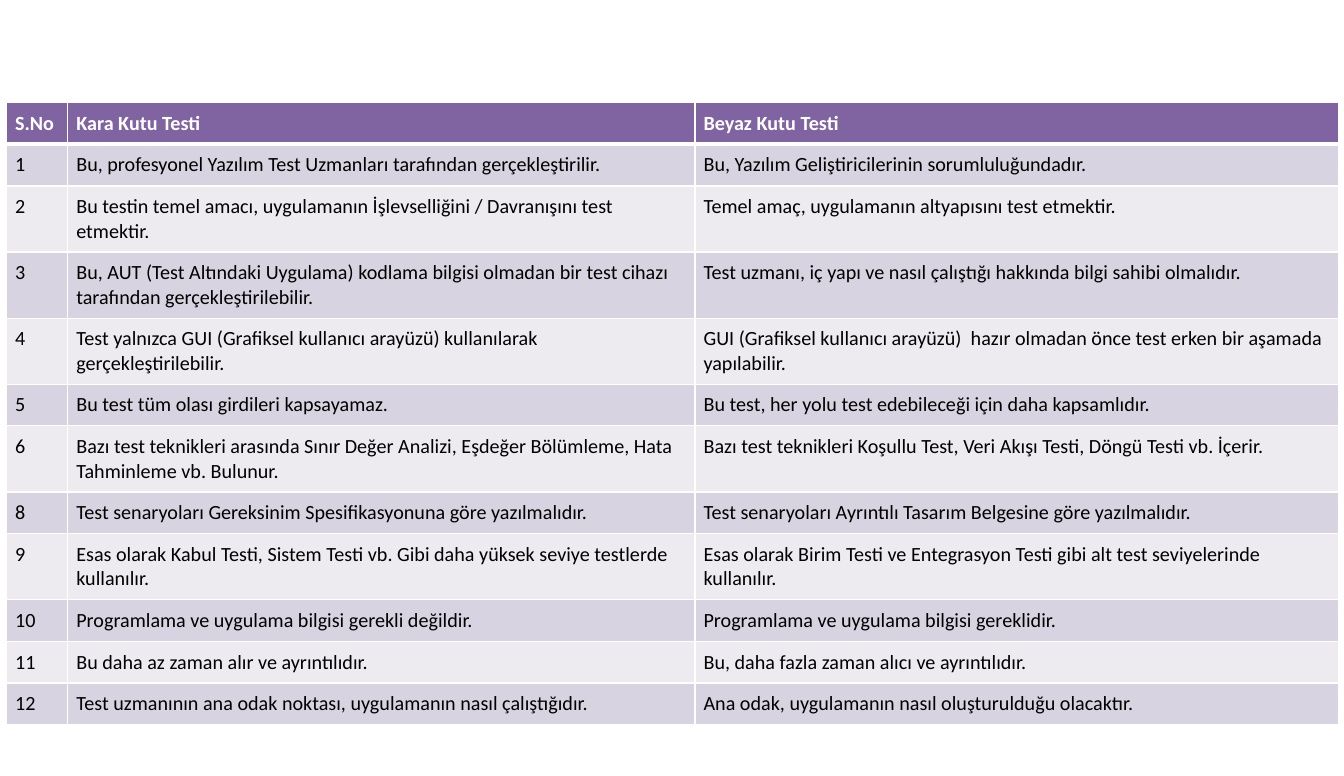
"""Build a slide that compares black box and white box testing."""
import lxml.etree
import pptx
import pptx.dml.color
import pptx.oxml.ns
import pptx.util

Cm = pptx.util.Cm
Pt = pptx.util.Pt
RGB = pptx.dml.color.RGBColor

WHITE = RGB(0xFF, 0xFF, 0xFF)
BLACK = RGB(0x00, 0x00, 0x00)
PURPLE = RGB(0x80, 0x64, 0xA2)
BANDS = [RGB(0xED, 0xEA, 0xF0), RGB(0xD8, 0xD3, 0xE0)]

FONT = "Calibri"
INSET = Cm(0.21)
THIN, THICK = Pt(1), Pt(3)
SHORT, TALL = Cm(1.02), Cm(1.62)
TWO_LINE = {"2", "3", "4", "6", "9"}
SHARES = [0.046, 0.471, 0.483]

ROWS = [
    ("S.No", "Kara Kutu Testi", "Beyaz Kutu Testi"),
    ("1", "Bu, profesyonel Yazılım Test Uzmanları tarafından gerçekleştirilir.",
     "Bu, Yazılım Geliştiricilerinin sorumluluğundadır."),
    ("2", "Bu testin temel amacı, uygulamanın İşlevselliğini / Davranışını test etmektir.",
     "Temel amaç, uygulamanın altyapısını test etmektir."),
    ("3", "Bu, AUT (Test Altındaki Uygulama) kodlama bilgisi olmadan bir test cihazı "
     "tarafından gerçekleştirilebilir.",
     "Test uzmanı, iç yapı ve nasıl çalıştığı hakkında bilgi sahibi olmalıdır."),
    ("4", "Test yalnızca GUI (Grafiksel kullanıcı arayüzü) kullanılarak gerçekleştirilebilir.",
     "GUI (Grafiksel kullanıcı arayüzü)  hazır olmadan önce test erken bir aşamada yapılabilir."),
    ("5", "Bu test tüm olası girdileri kapsayamaz.",
     "Bu test, her yolu test edebileceği için daha kapsamlıdır."),
    ("6", "Bazı test teknikleri arasında Sınır Değer Analizi, Eşdeğer Bölümleme, "
     "Hata Tahminleme vb. Bulunur.",
     "Bazı test teknikleri Koşullu Test, Veri Akışı Testi, Döngü Testi vb. İçerir."),
    ("8", "Test senaryoları Gereksinim Spesifikasyonuna göre yazılmalıdır.",
     "Test senaryoları Ayrıntılı Tasarım Belgesine göre yazılmalıdır."),
    ("9", "Esas olarak Kabul Testi, Sistem Testi vb. Gibi daha yüksek seviye testlerde kullanılır.",
     "Esas olarak Birim Testi ve Entegrasyon Testi gibi alt test seviyelerinde kullanılır."),
    ("10", "Programlama ve uygulama bilgisi gerekli değildir.",
     "Programlama ve uygulama bilgisi gereklidir."),
    ("11", "Bu daha az zaman alır ve ayrıntılıdır.",
     "Bu, daha fazla zaman alıcı ve ayrıntılıdır."),
    ("12", "Test uzmanının ana odak noktası, uygulamanın nasıl çalıştığıdır.",
     "Ana odak, uygulamanın nasıl oluşturulduğu olacaktır."),
]


def add_edges(cell, top, bottom):
    """Give a cell white borders with the given top and bottom widths."""
    props = cell._tc.get_or_add_tcPr()
    qn = pptx.oxml.ns.qn
    for side, width in (("L", THIN), ("R", THIN), ("T", top), ("B", bottom)):
        line = lxml.etree.SubElement(props, qn(f"a:ln{side}"), w=str(width))
        fill = lxml.etree.SubElement(line, qn("a:solidFill"))
        lxml.etree.SubElement(fill, qn("a:srgbClr"), val=str(WHITE))


def fill_cell(cell, text, row):
    """Write and style one cell according to its row number."""
    head = row == 0
    add_edges(cell, THICK if row == 1 else THIN, THICK if head else THIN)
    cell.fill.solid()
    cell.fill.fore_color.rgb = PURPLE if head else BANDS[row % 2]
    cell.margin_left = cell.margin_right = INSET
    cell.margin_top = cell.margin_bottom = INSET
    cell.text_frame.text = text
    font = cell.text_frame.paragraphs[0].runs[0].font
    font.name, font.size, font.bold = FONT, Pt(14), head
    font.color.rgb = WHITE if head else BLACK


def add_grid(slide, left, top, width):
    """Place the comparison table at a corner, with the given width."""
    heights = [TALL if row[0] in TWO_LINE else SHORT for row in ROWS]
    grid = slide.shapes.add_table(
        len(ROWS), len(SHARES), left, top, width, sum(heights)).table
    for col, share in zip(grid.columns, SHARES):
        col.width = round(width * share)
    for row, (texts, height) in enumerate(zip(ROWS, heights)):
        grid.rows[row].height = height
        for col, text in enumerate(texts):
            fill_cell(grid.cell(row, col), text, row)


def main():
    """Build and save the slide."""
    deck = pptx.Presentation()
    deck.slide_width, deck.slide_height = Cm(33), Cm(19.05)
    slide = deck.slides.add_slide(deck.slide_layouts[6])
    add_grid(slide, Cm(0.16), Cm(2.52), Cm(32.7))
    deck.save("out.pptx")


if __name__ == "__main__":
    main()
